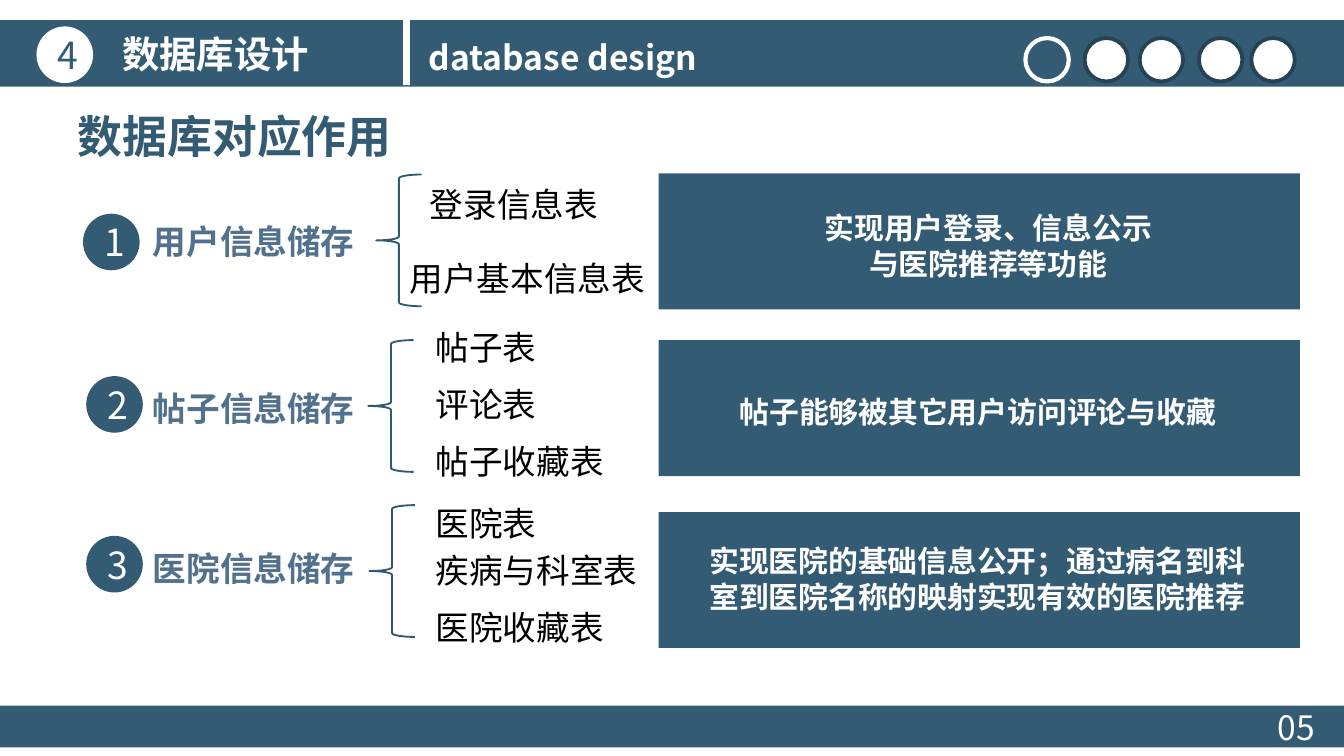
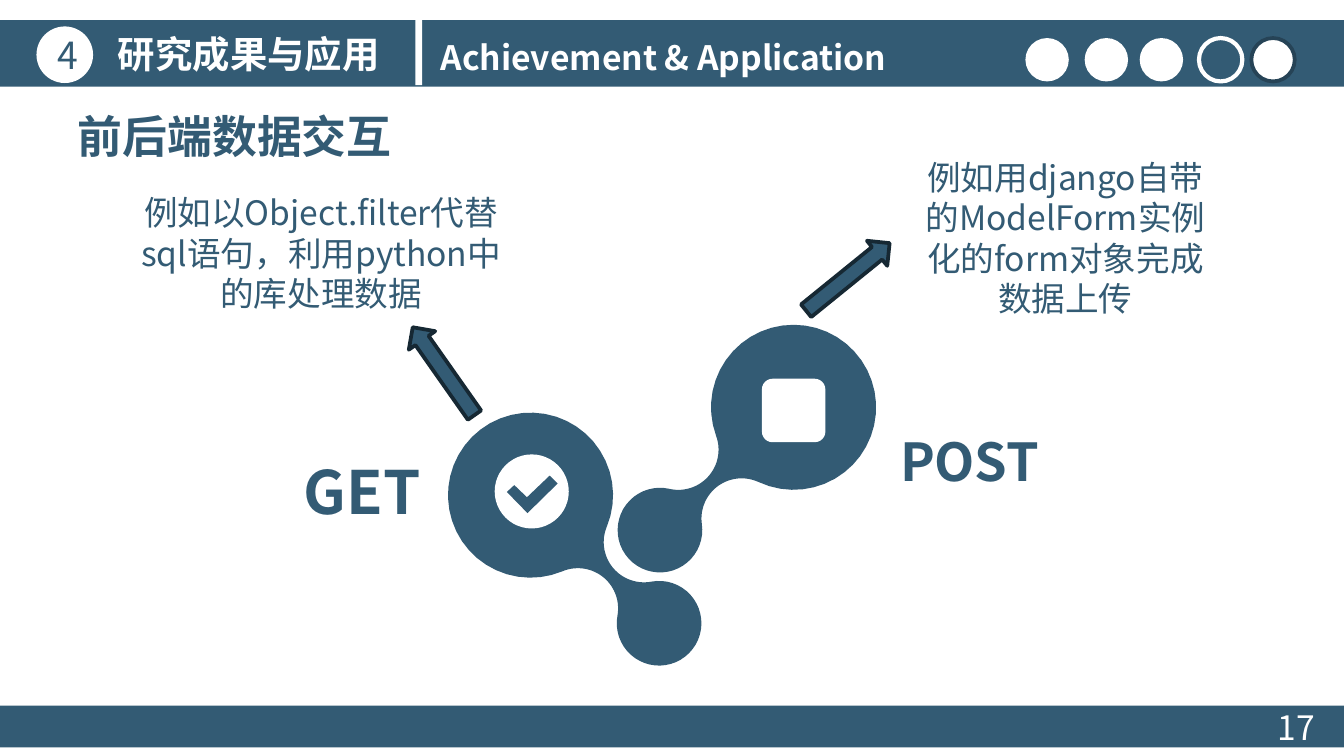
from math import acos, cos, radians, sin

from lxml.etree import SubElement
from pptx import Presentation
from pptx.dml.color import RGBColor
from pptx.enum.shapes import MSO_SHAPE
from pptx.enum.text import MSO_ANCHOR, MSO_AUTO_SIZE, PP_ALIGN
from pptx.oxml.ns import qn
from pptx.util import Cm, Pt

# Shared style
BLUE, WHITE, BLACK = "335B74", "FFFFFF", "000000"
RING, LABEL, BRACE, ARROW_EDGE = "264356", "51718D", "305973", "162833"
FONT, BODY_FONT = "Noto Sans CJK SC", "Noto Sans CJK KR"
WIDTH, HEIGHT = 25.4, 14.29
PROGRESS_LEFTS = (19.38, 20.5, 21.54, 22.66, 23.65)
COMPARISON, TITLE_ONLY = 4, 5


def color(value):
    return RGBColor.from_string(value)


def arc(center_x, center_y, radius, start, end, steps=40):
    """Points along a circle, angles in radians."""
    angles = [start + (end - start) * step / steps for step in range(steps + 1)]
    return [(center_x + radius * cos(angle), center_y + radius * sin(angle))
            for angle in angles]


def dumbbell_points(center_x, center_y, rotation):
    """Two discs joined by a neck with rounded sides."""
    big_x, big, small_x, small, fillet = -1.33, 1.56, 2.1, 0.8, 0.76
    gap, to_big, to_small = small_x - big_x, big + fillet, small + fillet
    alpha = acos((gap**2 + to_big**2 - to_small**2) / (2 * gap * to_big))
    beta = acos((gap**2 + to_small**2 - to_big**2) / (2 * gap * to_small))
    half_turn, turn = radians(180), radians(360)
    fillet_x, fillet_y = big_x + to_big * cos(alpha), to_big * sin(alpha)
    outline = (
        arc(big_x, 0, big, alpha, turn - alpha)
        + arc(fillet_x, -fillet_y, fillet, half_turn - alpha, beta)
        + arc(small_x, 0, small, beta - half_turn, half_turn - beta)
        + arc(fillet_x, fillet_y, fillet, -beta, alpha - half_turn)
    )
    cosine, sine = cos(radians(rotation)), sin(radians(rotation))
    return [(center_x + x * cosine - y * sine, center_y + x * sine + y * cosine)
            for x, y in outline]


class Deck:
    def __init__(self):
        self.presentation = Presentation()
        self.presentation.slide_width = Cm(WIDTH)
        self.presentation.slide_height = Cm(HEIGHT)
        self.slide = None

    def new_slide(self, layout):
        layouts = self.presentation.slide_layouts
        self.slide = self.presentation.slides.add_slide(layouts[layout])

    def place(self, shape, left, top, width, height):
        shape.left, shape.top = Cm(left), Cm(top)
        shape.width, shape.height = Cm(width), Cm(height)

    def fill_text(self, frame, text, size, ink, bold=False, align=PP_ALIGN.LEFT,
                  font=FONT):
        frame.text = text
        for paragraph in frame.paragraphs:
            paragraph.alignment = align
            for run in paragraph.runs:
                run.font.size, run.font.bold = Pt(size), bold
                run.font.color.rgb = color(ink)
                run.font.name = font
                east_asian = SubElement(run._r.get_or_add_rPr(), qn("a:ea"))
                east_asian.set("typeface", font)

    def paint(self, shape, fill=None, line=None, weight=1):
        shape.shadow.inherit = False
        if fill:
            shape.fill.solid()
            shape.fill.fore_color.rgb = color(fill)
        else:
            shape.fill.background()
        if line:
            shape.line.color.rgb = color(line)
            shape.line.width = Pt(weight)
        else:
            shape.line.fill.background()

    def shape(self, kind, left, top, width, height, fill=None, line=None, weight=1):
        shape = self.slide.shapes.add_shape(
            kind, Cm(left), Cm(top), Cm(width), Cm(height))
        self.paint(shape, fill, line, weight)
        return shape

    def outline(self, points, fill):
        start, *rest = [(Cm(x), Cm(y)) for x, y in points]
        builder = self.slide.shapes.build_freeform(*start)
        builder.add_line_segments(rest)
        self.paint(builder.convert_to_shape(), fill)

    def text(self, text, left, top, width, height, size, ink, wrap=True, **style):
        box = self.slide.shapes.add_textbox(Cm(left), Cm(top), Cm(width), Cm(height))
        box.text_frame.word_wrap = wrap
        self.fill_text(box.text_frame, text, size, ink, **style)

    def badge(self, number, left, top, fill, ink):
        disc = self.shape(MSO_SHAPE.OVAL, left, top, 1.07, 1.07, fill)
        disc.text_frame.vertical_anchor = MSO_ANCHOR.MIDDLE
        self.fill_text(disc.text_frame, number, 20, ink, align=PP_ALIGN.CENTER)

    def arrow(self, left, top, rotation):
        arrow = self.shape(MSO_SHAPE.RIGHT_ARROW, left, top, 2.03, 0.61,
                           BLUE, ARROW_EDGE, 2)
        arrow.rotation = rotation

    def placeholder_frame(self, placeholder, *area):
        self.place(placeholder, *area)
        frame = placeholder.text_frame
        frame.word_wrap, frame.auto_size = True, MSO_AUTO_SIZE.NONE
        frame.vertical_anchor = MSO_ANCHOR.TOP
        return frame

    def title(self, text):
        frame = self.placeholder_frame(self.slide.shapes.title, 1.22, 1.93, 9, 1.27)
        self.fill_text(frame, text, 24, BLUE, bold=True)

    def name_list(self, placeholder, left, top, names, spaces, indents):
        """A list without bullets, with its own gap and indent for each line."""
        frame = self.placeholder_frame(placeholder, left, top, 6.5, 3.9)
        self.fill_text(frame, "\n".join(names), 18, BLACK)
        for paragraph, space, indent in zip(frame.paragraphs, spaces, indents):
            paragraph.space_before = Pt(space)
            properties = paragraph._p.get_or_add_pPr()
            properties.set("marL", str(Cm(indent)))
            properties.set("indent", "0")
            SubElement(properties, qn("a:buNone"))

    def frame_bands(self, section, section_left, english, divider_left,
                    current, ringed, page_number):
        # Header band with progress dots
        self.shape(MSO_SHAPE.RECTANGLE, 0, 0.38, WIDTH, 1.26, BLUE)
        for index, left in enumerate(PROGRESS_LEFTS):
            if index == current:
                look = (None, WHITE, 2.25)
            else:
                look = (WHITE, RING if index in ringed else None, 2)
            self.shape(MSO_SHAPE.OVAL, left, 0.72, 0.82, 0.82, *look)
        self.badge("4", 0.69, 0.5, WHITE, BLUE)
        self.text(section, section_left, 0.46, 5.5 if len(section) > 5 else 4.06, 1.11,
                  20, WHITE, wrap=False, bold=True)
        self.shape(MSO_SHAPE.RECTANGLE, divider_left, 0.38, 0.13, 1.23, WHITE)
        self.text(english, divider_left + 0.23, 0.58, 9.4, 1.02, 18, WHITE, bold=True)
        # Footer band with page number
        self.shape(MSO_SHAPE.RECTANGLE, 0, 13.34, WIDTH, 0.79, BLUE)
        self.text(page_number, 23.9, 13.23, 1.5, 1.02, 18, WHITE)


def build_database_slide(deck):
    deck.new_slide(COMPARISON)
    deck.title("数据库对应作用")
    deck.frame_bands("数据库设计", 2.06, "database design", 7.62,
                     current=0, ringed=(1, 2, 3, 4), page_number="05")

    # Store name with its number: badge left, badge top, label top
    stores = [
        ("用户信息储存", 1.57, 4.04, 4.06),
        ("帖子信息储存", 1.63, 7.11, 7.21),
        ("医院信息储存", 1.63, 10.13, 10.24),
    ]
    for number, (name, left, badge_top, label_top) in enumerate(stores, 1):
        deck.text(name, 2.64, label_top, 4.72, 1.02, 18, LABEL, bold=True)
        deck.badge(str(number), left, badge_top, BLUE, WHITE)

    # Braces
    for left, top in ((7.11, 3.3), (6.96, 6.43), (6.98, 9.55)):
        deck.shape(MSO_SHAPE.LEFT_BRACE, left, top, 0.86, 2.49, line=BRACE)

    # Table names
    lists = [
        (7.49, 3.35, ["登录信息表", "用户基本信息表"], (0, 18), (0.38, 0)),
        (7.98, 6.05, ["帖子表", "评论表", "帖子收藏表"], (0, 9, 9), (0, 0, 0)),
        (7.98, 9.37, ["医院表", "疾病与科室表", "医院收藏表"], (0, 4, 9), (0, 0, 0)),
    ]
    *bodies, unused = list(deck.slide.placeholders)[1:]
    for body, entry in zip(bodies, lists):
        deck.name_list(body, *entry)
    unused._element.getparent().remove(unused._element)

    # Purpose panels
    purposes = [
        (3.28, "实现用户登录、信息公示\n与医院推荐等功能", 15.29, 3.84, 6.78, 1.63),
        (6.43, "帖子能够被其它用户访问评论与收藏", 13.67, 7.32, 9.63, 0.94),
        (9.68, "实现医院的基础信息公开；通过病名到科室到医院名称的映射实现有效的医院推荐",
         12.9, 10.13, 11.15, 1.63),
    ]
    for panel_top, purpose, *area in purposes:
        deck.shape(MSO_SHAPE.RECTANGLE, 12.45, panel_top, 12.12, 2.57, BLUE)
        deck.text(purpose, *area, 16, WHITE, bold=True, align=PP_ALIGN.CENTER)


def build_interaction_slide(deck):
    deck.new_slide(TITLE_ONLY)
    deck.title("前后端数据交互")
    deck.frame_bands("研究成果与应用", 1.98, "Achievement & Application", 7.85,
                     current=3, ringed=(4,), page_number="17")

    # Method names
    deck.text("GET", 3, 8.48, 5.2, 1.5, 32, BLUE, bold=True, align=PP_ALIGN.RIGHT)
    deck.text("POST", 16.76, 7.98, 5.2, 1.4, 28, BLUE, bold=True)

    # POST emblem
    deck.outline(dumbbell_points(14.02, 8.6, 137.4), BLUE)
    deck.shape(MSO_SHAPE.ROUNDED_RECTANGLE, 14.4, 7.16, 1.2, 1.2, WHITE)

    # GET emblem with a tick
    deck.outline(dumbbell_points(10.97, 10.3, 44.9), BLUE)
    deck.shape(MSO_SHAPE.OVAL, 9.35, 8.59, 1.4, 1.4, WHITE)
    deck.outline([(9.58, 9.3), (9.72, 9.17), (9.96, 9.4),
                  (10.39, 8.99), (10.54, 9.14), (9.97, 9.7)], BLUE)

    # Arrows and explanations
    deck.arrow(7.37, 6.71, 234.9)
    deck.arrow(15.01, 4.93, 321)
    explanations = [
        ("例如以Object.filter代替sql语句，利用python中的库处理数据", 2.31, 3.51, 7.52, 2.57),
        ("例如用django自带的ModelForm实例化的form对象完成数据上传", 17.2, 2.84, 5.87, 3.33),
    ]
    for explanation, *area in explanations:
        deck.text(explanation, *area, 18, BLUE, align=PP_ALIGN.CENTER, font=BODY_FONT)


def main():
    deck = Deck()
    build_database_slide(deck)
    build_interaction_slide(deck)
    deck.presentation.save("out.pptx")


if __name__ == "__main__":
    main()
